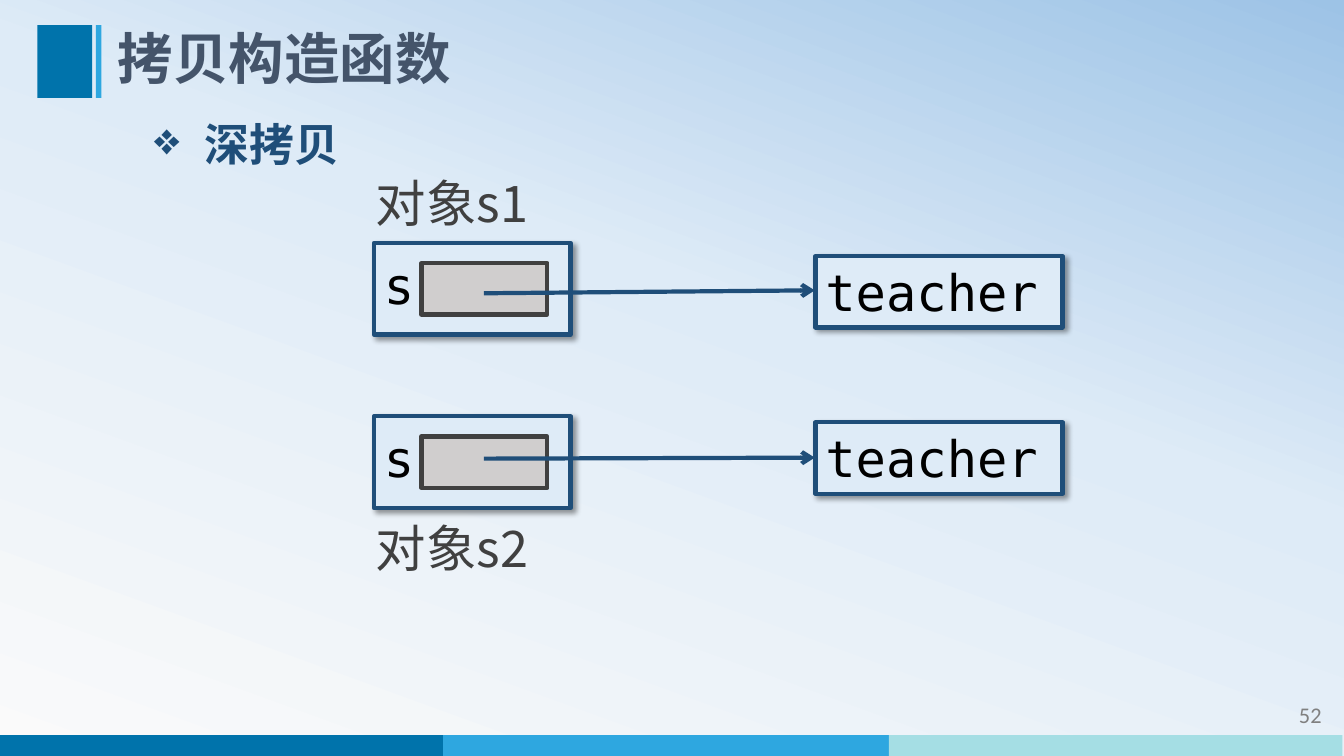
from copy import deepcopy
from dataclasses import dataclass

from lxml.etree import SubElement
from pptx import Presentation
from pptx.dml.color import RGBColor
from pptx.enum.shapes import MSO_CONNECTOR, MSO_SHAPE
from pptx.enum.text import MSO_ANCHOR, MSO_AUTO_SIZE, PP_ALIGN
from pptx.oxml.ns import qn
from pptx.util import Pt

CJK, MONO = "Noto Sans CJK SC", "DejaVu Sans Mono"
NAVY, PALE, GREY, DARK = "1F4E79", "DEEBF7", "D0CECE", "404040"
BLUE, SKY, AQUA = "0073AB", "2EA7E0", "A5DEE4"


@dataclass(frozen=True)
class Block:
    left: float
    top: float
    width: float
    height: float
    fill: str


@dataclass(frozen=True)
class CopyRow:
    """One object, its pointer cell and the string it points to."""
    label: str
    label_top: float
    box_top: float
    value_top: float
    arrow_from: float
    arrow_to: float


BLOCKS = [Block(-2 + 318.5 * i, 525, 324, 15, c) for i, c in enumerate((BLUE, SKY, AQUA))]
BLOCKS += [Block(26.8, 18, 39, 52, BLUE), Block(68.6, 18, 3.8, 52, SKY)]
ROWS = [
    CopyRow("对象s1", 119.5, 173.5, 182.9, 209.5, 207.4),
    CopyRow("对象s2", 365.8, 297.4, 301.7, 327.6, 326.9),
]


def rgb(color: str) -> RGBColor:
    return RGBColor.from_string(color)


def paint_background(s, stops: list, angle: float) -> None:
    fill = s.background.fill
    fill.gradient()
    fill.gradient_angle = angle
    stop_list = s._element.find(".//" + qn("a:gsLst"))
    stop_list.append(deepcopy(stop_list[0]))
    for stop, (position, color) in zip(fill.gradient_stops, stops):
        stop.position = position
        stop.color.rgb = rgb(color)


def write(sp, text: str, size: float, color: str, name: str = CJK, bold: bool = False):
    tf = sp.text_frame
    tf.word_wrap = True
    p = tf.paragraphs[0]
    p.alignment = PP_ALIGN.LEFT
    r = p.add_run()
    r.text = text
    for key, value in {"size": Pt(size), "name": name, "bold": bold}.items():
        setattr(r.font, key, value)
    r.font.color.rgb = rgb(color)
    SubElement(r._r.get_or_add_rPr(), qn("a:ea"), typeface=name)
    return p


def add_label(s, left: float, top: float, width: float, height: float, *style, **extra):
    sp = s.shapes.add_textbox(Pt(left), Pt(top), Pt(width), Pt(height))
    sp.text_frame.auto_size = MSO_AUTO_SIZE.SHAPE_TO_FIT_TEXT
    return write(sp, *style, **extra)


def add_box(s, block: Block, line: str = ""):
    sp = s.shapes.add_shape(MSO_SHAPE.RECTANGLE, Pt(block.left), Pt(block.top),
                            Pt(block.width), Pt(block.height))
    sp.shadow.inherit = False
    sp.fill.solid()
    sp.fill.fore_color.rgb = rgb(block.fill)
    if line:
        sp.line.width = Pt(3)
        sp.line.color.rgb = rgb(line)
    else:
        sp.line.fill.background()
    return sp


def cast_shadow(sp) -> None:
    effects = sp._element.spPr.find(qn("a:effectLst"))
    shadow = SubElement(effects, qn("a:outerShdw"), blurRad=str(Pt(4)), dist=str(Pt(3)),
                        dir="2700000", algn="tl", rotWithShape="0")
    color = SubElement(shadow, qn("a:srgbClr"), val="000000")
    SubElement(color, qn("a:alpha"), val="40000")


def add_arrow(s, x1: float, y1: float, x2: float, y2: float) -> None:
    line = s.shapes.add_connector(MSO_CONNECTOR.STRAIGHT, Pt(x1), Pt(y1), Pt(x2), Pt(y2))
    line.line.width = Pt(3)
    line.line.color.rgb = rgb(NAVY)
    SubElement(line.line._get_or_add_ln(), qn("a:tailEnd"), type="arrow")
    SubElement(line._element.spPr, qn("a:effectLst"))


def add_row(s, row: CopyRow) -> None:
    cast_shadow(add_box(s, Block(267.1, row.box_top, 140.4, 65.5, PALE), NAVY))
    add_box(s, Block(301, row.box_top + 14.4, 90, 36.7, GREY), DARK)
    add_label(s, 267.1, row.box_top + 4.3, 39.6, 51, "s", 36, "000000", MONO)
    value = add_box(s, Block(582.5, row.value_top, 176.4, 51, PALE), NAVY)
    cast_shadow(value)
    value.text_frame.vertical_anchor = MSO_ANCHOR.TOP
    value.text_frame.auto_size = MSO_AUTO_SIZE.SHAPE_TO_FIT_TEXT
    write(value, "teacher", 36, "000000", MONO)
    add_arrow(s, 345.6, row.arrow_from, 582, row.arrow_to)
    add_label(s, 261.4, row.label_top, 165.6, 51, row.label, 36, DARK)


def add_title(s, text: str) -> None:
    title = s.shapes.title
    place = {"left": 77, "top": 18, "width": 782, "height": 52}
    for key, value in place.items():
        setattr(title, key, Pt(value))
    title.text_frame.vertical_anchor = MSO_ANCHOR.MIDDLE
    title.text_frame.auto_size = MSO_AUTO_SIZE.NONE
    write(title, text, 39.6, "44546A", bold=True).line_spacing = 0.9


def add_bullet(p, char: str, color: str, indent: float) -> None:
    pPr = p._p.get_or_add_pPr()
    pPr.set("marL", str(Pt(indent)))
    pPr.set("indent", str(Pt(-indent)))
    SubElement(SubElement(pPr, qn("a:buClr")), qn("a:srgbClr"), val=color)
    SubElement(pPr, qn("a:buChar"), char=char)


def main() -> None:
    prs = Presentation()
    prs.slide_width, prs.slide_height = Pt(960), Pt(540)
    s = prs.slides.add_slide(prs.slide_layouts[5])
    paint_background(s, [(0, "FAFAFA"), (0.58, PALE), (1, "9DC3E6")], 70)
    for block in BLOCKS:
        add_box(s, block)
    add_title(s, "拷贝构造函数")
    number = add_label(s, 836.6, 497.5, 114.5, 28.8, "52", 16, "808080", "Calibri")
    number.alignment = PP_ALIGN.RIGHT
    for row in ROWS:
        add_row(s, row)
    heading = add_label(s, 103, 80, 163.4, 46, "深拷贝", 32, NAVY, bold=True)
    add_bullet(heading, "❖", NAVY, 36)
    prs.save("out.pptx")


if __name__ == "__main__":
    main()
